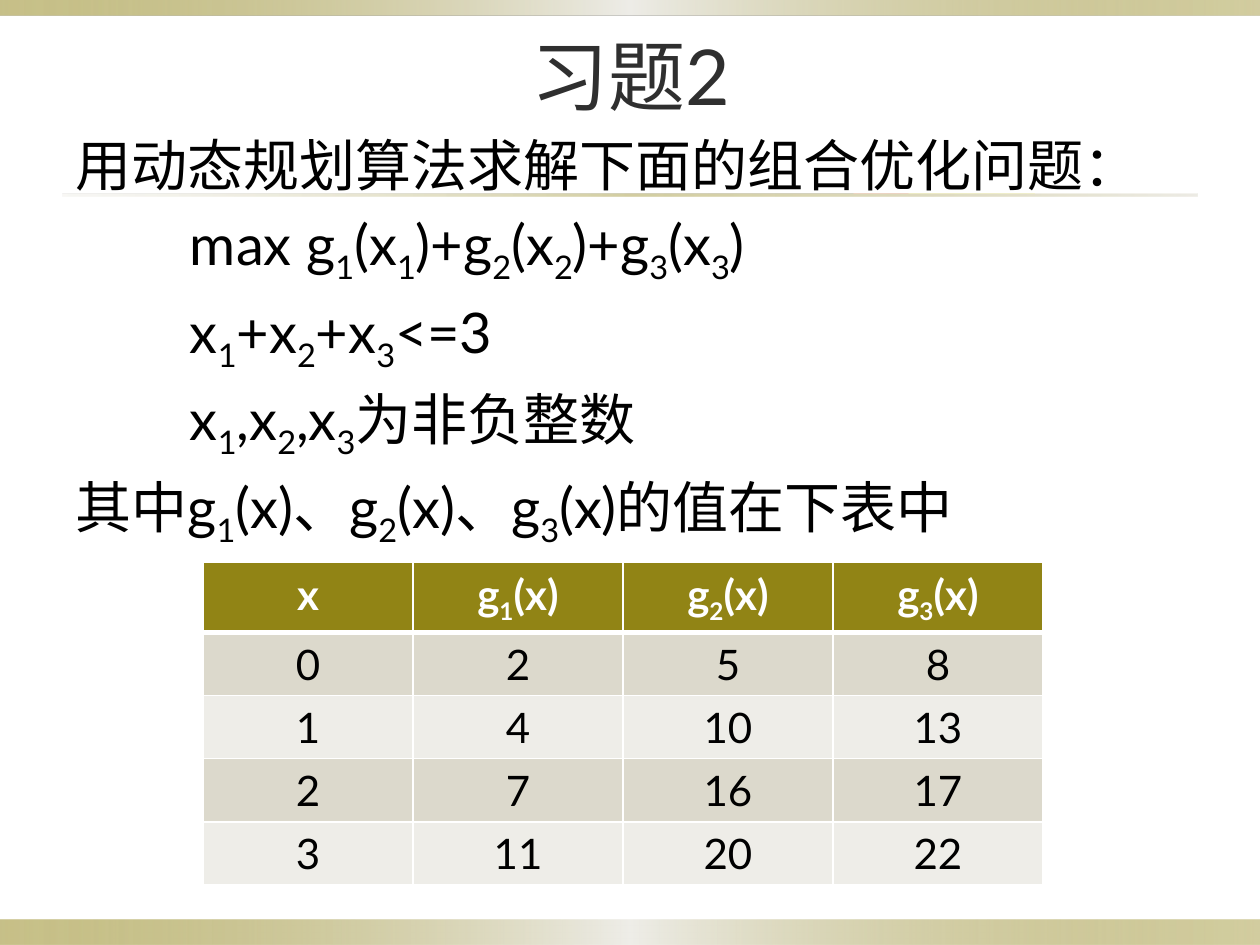
"""Build the slide for exercise 2, a dynamic programming problem with its value table."""
import pptx
import pptx.dml.color
import pptx.enum.shapes
import pptx.enum.text
import pptx.oxml
import pptx.oxml.ns
import pptx.util
from dataclasses import dataclass

Pt = pptx.util.Pt


@dataclass(frozen=True)
class Theme:
    font: str = "Lato"
    title_size: int = 44
    body_size: int = 32
    table_size: int = 24
    title: str = "2F2F2F"
    text: str = "000000"
    white: str = "FFFFFF"
    olive: str = "918415"
    sand: str = "DCD9CC"
    pale: str = "EEEDE8"


THEME = Theme()
TITLE = "习题2"
STATEMENT = [
    ("用动态规划算法求解下面的组合优化问题：", 0),
    ("max g_1(x_1)+g_2(x_2)+g_3(x_3)", 1),
    ("x_1+x_2+x_3<=3", 1),
    ("x_1,x_2,x_3为非负整数", 1),
    ("其中g_1(x)、g_2(x)、g_3(x)的值在下表中", 0),
]
VALUES = [
    ("x", "g_1(x)", "g_2(x)", "g_3(x)"),
    (0, 2, 5, 8),
    (1, 4, 10, 13),
    (2, 7, 16, 17),
    (3, 11, 20, 22),
]
BAND_STOPS = [(0, THEME.olive, 50), (50, THEME.pale, 100), (100, THEME.olive, 40)]
RULE_STOPS = [(0, THEME.sand, 20), (50, THEME.olive, 40), (100, THEME.sand, 50)]
BANDS = [
    ((0, 525.6, 720, 14.4), BAND_STOPS),
    ((0, 0, 720, 8.64), BAND_STOPS),
    ((36, 110.9, 648, 1.44), RULE_STOPS),
]
TITLE_BOX = (36.7, 9.4, 648, 67)
STATEMENT_BOX = (36, 71.3, 648, 442)
FORMULA_INDENT = 65.5
TABLE_ORIGIN = (116, 321.5)
COLUMN_WIDTH = 120
HEADER_HEIGHT, ROW_HEIGHT = 39, 36


def points(values):
    return [Pt(value) for value in values]


def add_band(slide, box, stops):
    shape = slide.shapes.add_shape(pptx.enum.shapes.MSO_SHAPE.RECTANGLE, *points(box))
    shape.shadow.inherit = False
    shape.line.fill.background()
    shape.fill.gradient()
    shape.fill.gradient_angle = 0
    stop_list = shape.element.find(".//" + pptx.oxml.ns.qn("a:gsLst"))
    for stop in list(stop_list):
        stop_list.remove(stop)
    for position, color, opacity in stops:
        stop_list.append(pptx.oxml.parse_xml(
            f'<a:gs {pptx.oxml.ns.nsdecls("a")} pos="{position * 1000}">'
            f'<a:srgbClr val="{color}"><a:alpha val="{opacity * 1000}"/></a:srgbClr></a:gs>'))


def write(paragraph, text, size, color, bold=False, centered=False):
    first, *rest = text.split("_")
    pieces = [(first, False)]
    for piece in rest:
        pieces += [(piece[0], True), (piece[1:], False)]
    for piece, is_subscript in pieces:
        if piece:
            run = paragraph.add_run()
            run.text = piece
            if is_subscript:
                run.font._element.set("baseline", "-25000")
    if centered:
        paragraph.alignment = pptx.enum.text.PP_ALIGN.CENTER
    paragraph.font.name = THEME.font
    paragraph.font.size = Pt(size)
    paragraph.font.bold = bold
    paragraph.font.color.rgb = pptx.dml.color.RGBColor.from_string(color)


def add_title(slide):
    title = slide.shapes.title
    title.left, title.top, title.width, title.height = points(TITLE_BOX)
    title.text_frame.vertical_anchor = pptx.enum.text.MSO_ANCHOR.MIDDLE
    write(title.text_frame.paragraphs[0], TITLE, THEME.title_size, THEME.title, centered=True)


def add_statement(slide):
    frame = slide.shapes.add_textbox(*points(STATEMENT_BOX)).text_frame
    frame.word_wrap = True
    for index, (text, level) in enumerate(STATEMENT):
        paragraph = frame.add_paragraph() if index else frame.paragraphs[0]
        if index:
            paragraph.space_before = Pt(0.2 * THEME.body_size)
        if level:
            paragraph._p.get_or_add_pPr().set("marL", str(Pt(FORMULA_INDENT)))
        write(paragraph, text, THEME.body_size, THEME.text)


def set_borders(cell, bottom_width, top_width):
    widths = {"lnL": 1, "lnR": 1, "lnT": top_width, "lnB": bottom_width}
    for index, (side, width) in enumerate(widths.items()):
        cell._tc.get_or_add_tcPr().insert(index, pptx.oxml.parse_xml(
            f'<a:{side} {pptx.oxml.ns.nsdecls("a")} w="{Pt(width)}"><a:solidFill>'
            f'<a:srgbClr val="{THEME.white}"/></a:solidFill></a:{side}>'))


def add_value_table(slide):
    heights = [HEADER_HEIGHT] + [ROW_HEIGHT] * (len(VALUES) - 1)
    column_count = len(VALUES[0])
    size = (COLUMN_WIDTH * column_count, sum(heights))
    table = slide.shapes.add_table(
        len(VALUES), column_count, *points(TABLE_ORIGIN + size)).table
    for column in table.columns:
        column.width = Pt(COLUMN_WIDTH)
    for index, (values, height) in enumerate(zip(VALUES, heights)):
        table.rows[index].height = Pt(height)
        is_header = index == 0
        fill = THEME.olive if is_header else (THEME.pale, THEME.sand)[index % 2]
        color = THEME.white if is_header else THEME.text
        for cell, value in zip(table.rows[index].cells, values):
            cell.fill.solid()
            cell.fill.fore_color.rgb = pptx.dml.color.RGBColor.from_string(fill)
            set_borders(cell, 3 if is_header else 1, 3 if index == 1 else 1)
            write(cell.text_frame.paragraphs[0], str(value), THEME.table_size, color,
                  bold=is_header, centered=True)


def main():
    presentation = pptx.Presentation()
    presentation.slide_width, presentation.slide_height = Pt(720), Pt(540)
    slide = presentation.slides.add_slide(presentation.slide_layouts.get_by_name("Title Only"))
    for box, stops in BANDS:
        add_band(slide, box, stops)
    add_title(slide)
    add_statement(slide)
    add_value_table(slide)
    presentation.save("out.pptx")


if __name__ == "__main__":
    main()
